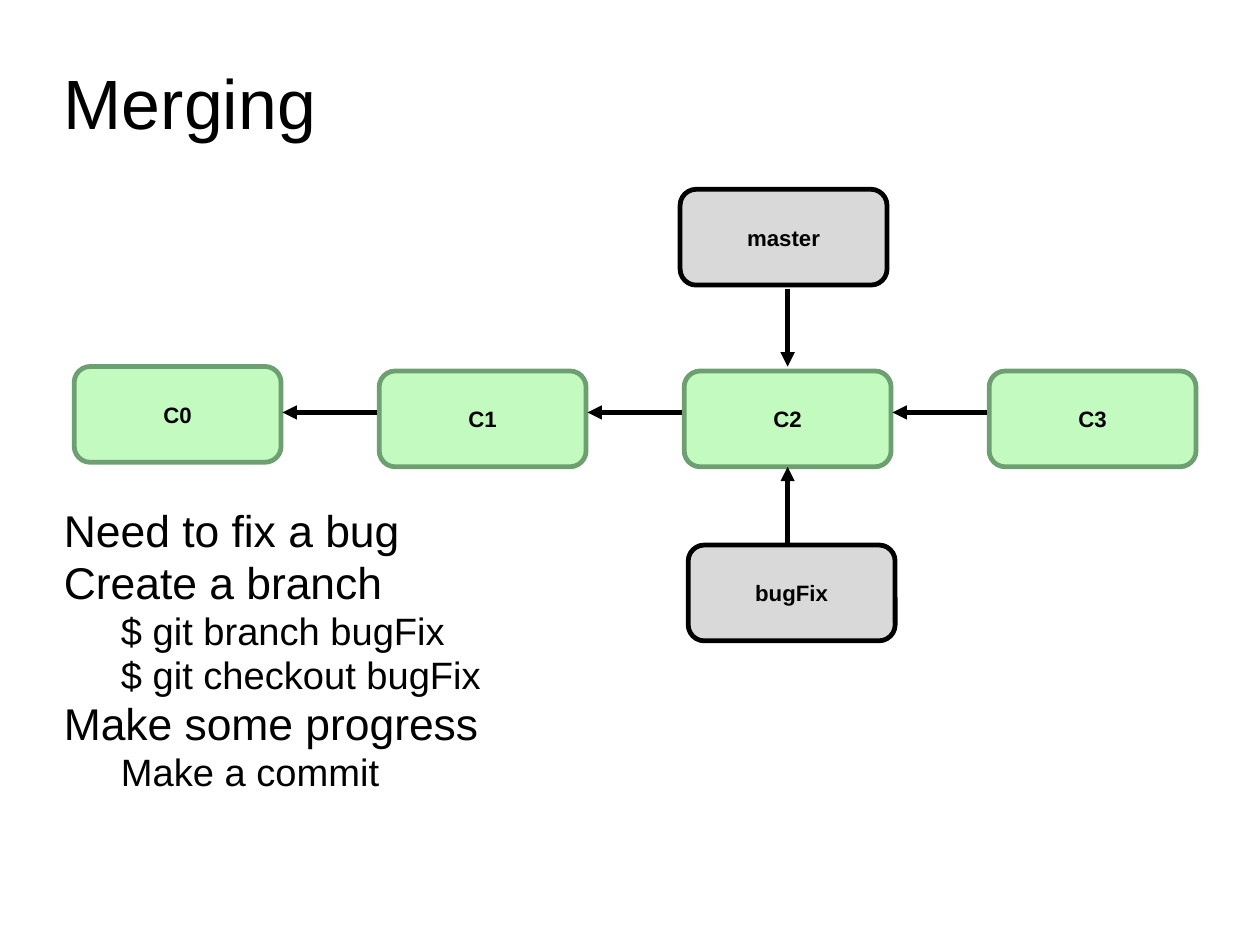
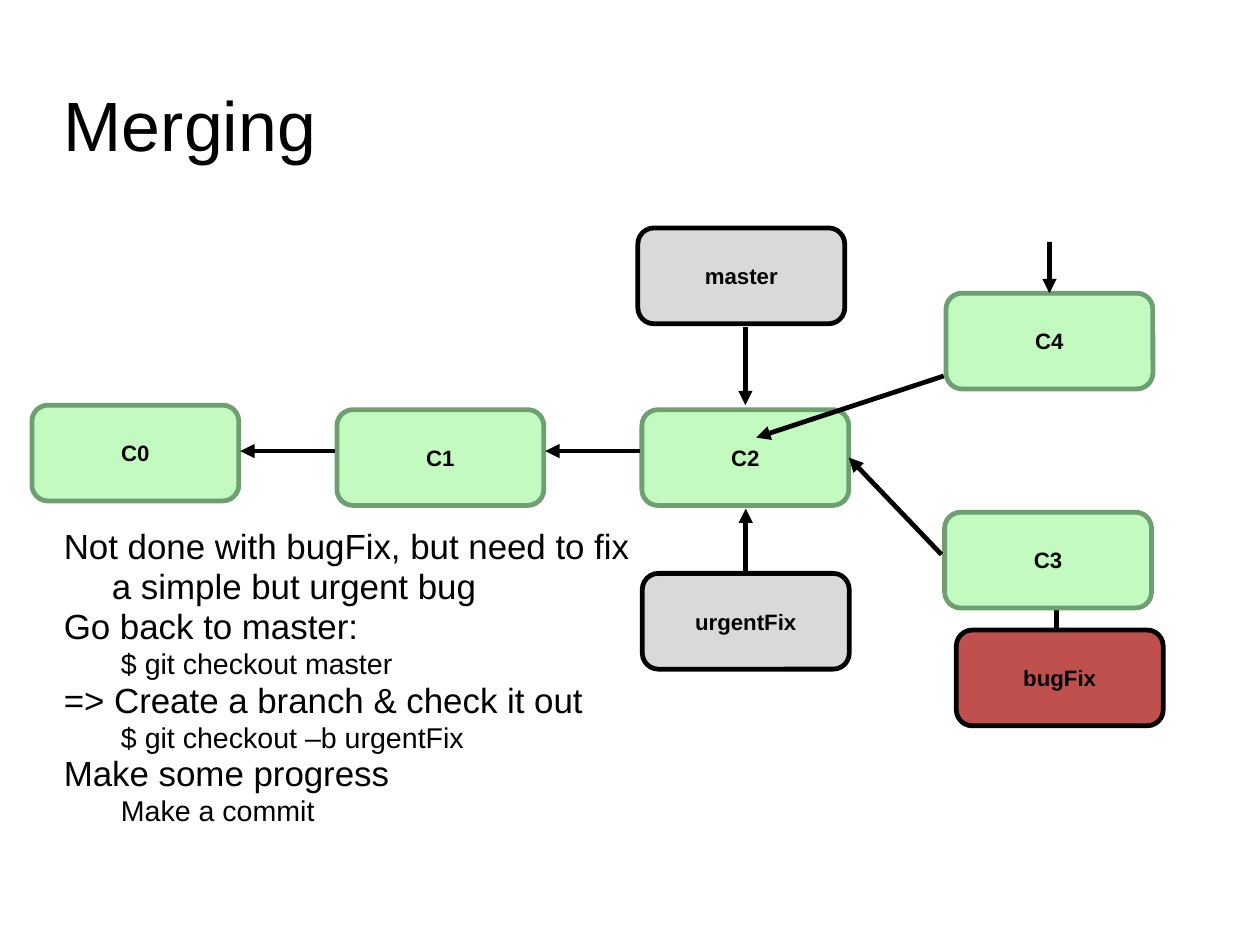
from lxml import etree
from pptx import Presentation
from pptx.dml.color import RGBColor
from pptx.enum import shapes, text
from pptx.oxml.ns import qn
from pptx.util import Cm, Pt

BLACK = RGBColor(0x00, 0x00, 0x00)
GREEN = RGBColor(0xC3, 0xFA, 0xC0)
GREEN_EDGE = RGBColor(0x6E, 0x9F, 0x71)
GREY = RGBColor(0xD9, 0xD9, 0xD9)
RED = RGBColor(0xC0, 0x50, 0x4D)
FONT = "Arial"
LEFT = 1.42               # left edge of title and body, cm
BOX_W, BOX_H = 4.6, 2.13  # commit and branch boxes, cm
STEP = 6.78               # distance between commits, cm


def set_font(p, size, bold=False):
    p.font.name, p.font.size, p.font.bold = FONT, Pt(size), bold
    p.font.color.rgb = BLACK


def text_frame(s, x, y, w, h):
    tf = s.shapes.add_textbox(Cm(x), Cm(y), Cm(w), Cm(h)).text_frame
    tf.word_wrap = True
    tf.margin_left = tf.margin_right = tf.margin_top = tf.margin_bottom = 0
    return tf


def add_title(s, y):
    p = text_frame(s, LEFT, y, 25.2, 2).paragraphs[0]
    p.text = "Merging"
    set_font(p, 44)


def add_body(s, y, h, lines):
    """Each line is (text, size, space before, left margin in cm)."""
    tf = text_frame(s, LEFT, y, 13, h)
    for i, (line, size, before, margin) in enumerate(lines):
        p = tf.add_paragraph() if i else tf.paragraphs[0]
        p.text = line
        p.line_spacing = 0.8
        p.space_before = Pt(before if i else 0)
        p._p.get_or_add_pPr().set("marL", str(Cm(margin)))
        set_font(p, size)


def add_box(s, label, x, y, fill=GREY, edge=BLACK):
    sp = s.shapes.add_shape(shapes.MSO_SHAPE.ROUNDED_RECTANGLE,
                            Cm(x), Cm(y), Cm(BOX_W), Cm(BOX_H))
    sp.shadow.inherit = False
    sp.fill.solid()
    sp.fill.fore_color.rgb = fill
    sp.line.color.rgb, sp.line.width = edge, Pt(3)
    tf = sp.text_frame
    tf.vertical_anchor = text.MSO_ANCHOR.MIDDLE
    p = tf.paragraphs[0]
    p.text, p.alignment = label, text.PP_ALIGN.CENTER
    set_font(p, 14, bold=True)
    return sp


def add_commit(s, label, x, y):
    return add_box(s, label, x, y, GREEN, GREEN_EDGE)


def add_arrow(s, x1, y1, x2, y2):
    c = s.shapes.add_connector(shapes.MSO_CONNECTOR.STRAIGHT,
                               Cm(x1), Cm(y1), Cm(x2), Cm(y2))
    c.line.color.rgb, c.line.width = BLACK, Pt(3)
    etree.SubElement(c.line._get_or_add_ln(), qn("a:tailEnd"), type="triangle")
    etree.SubElement(c._element.spPr, qn("a:effectLst"))
    return c


def add_history(s, x, y, count):
    """Row of commits, each pointing to the one before, with master on C2."""
    commits = [add_commit(s, "C0", x, y)]
    for i in range(1, count):
        left = x + i * STEP
        commits.append(add_commit(s, f"C{i}", left, y + 0.1))
        add_arrow(s, left - 0.05, y + 1.02, left - 2.15, y + 1.02)
    add_arrow(s, x + 15.86, y - 1.73, x + 15.86, y)
    add_box(s, "master", x + 13.47, y - 3.94)
    return commits


def branch_diagram(s, x, y):
    commits = add_history(s, x, y, 4)
    # bugFix branch below C2
    c = add_arrow(s, x + 15.86, y + 3.97, x + 15.86, y + 2.23)
    c.end_connect(commits[2], 2)
    add_box(s, "bugFix", x + 13.65, y + 3.97)


def urgent_diagram(s, x, y):
    c2 = add_history(s, x, y, 3)[2]
    # bugFix branch and its commit
    add_arrow(s, x + 22.77, y + 5.0, x + 22.77, y + 3.28)
    add_box(s, "bugFix", x + 20.55, y + 5.0)
    s.shapes[-1].fill.fore_color.rgb = RED
    add_commit(s, "C3", x + 20.29, y + 2.38)
    c = add_arrow(s, x + 20.22, y + 3.32, x + 18.16, y + 1.16)
    c.end_connect(c2, 3)
    # New commit on the urgent branch
    add_arrow(s, x + 20.27, y - 0.65, x + 16.1, y + 0.72)
    c4 = add_commit(s, "C4", x + 20.32, y - 2.49)
    add_arrow(s, x + 22.62, y - 3.63, x + 22.62, y - 2.49).end_connect(c4, 0)
    # urgentFix branch below C2
    urgent = add_box(s, "urgentFix", x + 13.57, y + 3.74)
    c = add_arrow(s, x + 15.87, y + 3.74, x + 15.87, y + 2.3)
    c.begin_connect(urgent, 0)


def branch_slide(prs):
    s = prs.slides.add_slide(prs.slide_layouts[6])
    add_title(s, 1.33)
    add_body(s, 11.41, 6.5, [
        ("Need to fix a bug", 28, 6, 0),
        ("Create a branch", 28, 6, 0),
        ("$ git branch bugFix", 24, 5, 1.27),
        ("$ git checkout bugFix", 24, 5, 1.27),
        ("Make some progress", 28, 6, 0),
        ("Make a commit", 24, 5, 1.27),
    ])
    branch_diagram(s, 1.65, 8.15)


def urgent_slide(prs):
    s = prs.slides.add_slide(prs.slide_layouts[6])
    add_title(s, 1.81)
    add_body(s, 11.85, 6.6, [
        ("Not done with bugFix, but need to fix", 22, 4, 0),
        ("a simple but urgent bug", 22, 4, 1.07),
        ("Go back to master:", 22, 4, 0),
        ("$ git checkout master", 18, 4, 1.27),
        ("=> Create a branch & check it out", 22, 4, 0),
        ("$ git checkout –b urgentFix", 18, 4, 1.27),
        ("Make some progress", 22, 4, 0),
        ("Make a commit", 18, 4, 1.27),
    ])
    urgent_diagram(s, 0.71, 9.01)


def main():
    prs = Presentation()
    prs.slide_width, prs.slide_height = Cm(28.01), Cm(20.99)
    branch_slide(prs)
    urgent_slide(prs)
    prs.save("out.pptx")


if __name__ == "__main__":
    main()
